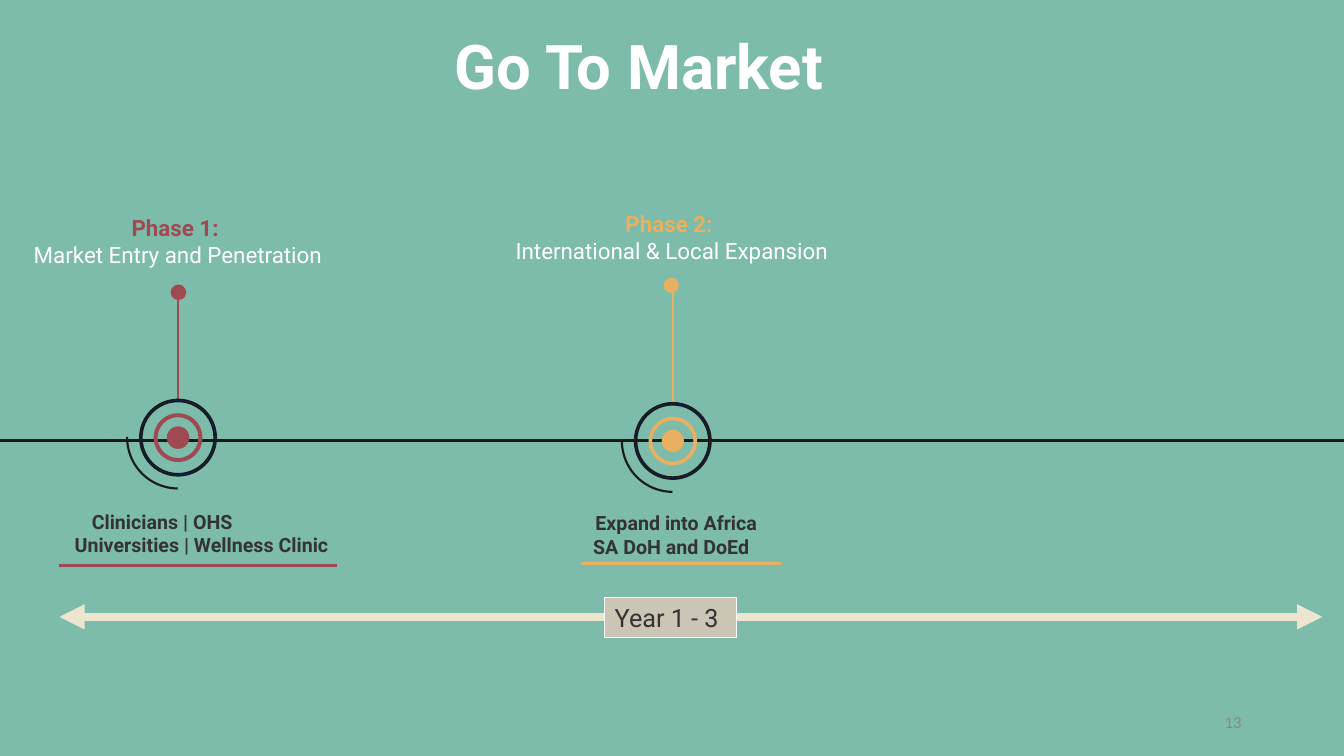
from dataclasses import dataclass

from lxml.etree import SubElement
from pptx import Presentation
from pptx.dml.color import RGBColor
from pptx.enum.shapes import MSO_CONNECTOR, MSO_SHAPE
from pptx.enum.text import MSO_ANCHOR, MSO_AUTO_SIZE, PP_ALIGN
from pptx.oxml.ns import qn
from pptx.util import Pt


@dataclass(frozen=True)
class Theme:
    font: str = "Roboto"
    background: RGBColor = RGBColor(0x7D, 0xBB, 0xAA)
    white: RGBColor = RGBColor(0xFF, 0xFF, 0xFF)
    ink: RGBColor = RGBColor(0x33, 0x33, 0x33)
    axis: RGBColor = RGBColor(0x19, 0x19, 0x19)
    ring: RGBColor = RGBColor(0x05, 0x29, 0x5C)
    red: RGBColor = RGBColor(0x9F, 0x4A, 0x53)
    amber: RGBColor = RGBColor(0xE9, 0xB0, 0x61)
    cream: RGBColor = RGBColor(0xEC, 0xE5, 0xD0)
    stone: RGBColor = RGBColor(0xCB, 0xC5, 0xB5)
    grey: RGBColor = RGBColor(0x89, 0x89, 0x89)
    title_size: Pt = Pt(44)
    year_size: Pt = Pt(18)
    phase_size: Pt = Pt(16)
    note_size: Pt = Pt(14)
    number_size: Pt = Pt(12)


theme = Theme()
COLUMNS, ROWS = 160, 90

presentation = Presentation()
presentation.slide_width, presentation.slide_height = Pt(960), Pt(540)
CELL = presentation.slide_width / COLUMNS  # the grid is square: 160 by 90 cells
slide = presentation.slides.add_slide(presentation.slide_layouts[5])
slide.background.fill.solid()
slide.background.fill.fore_color.rgb = theme.background


def add_line(start, end, color, width):
    """Draw a straight line between two (column, row) points."""
    points = [round(value * CELL) for value in (*start, *end)]
    line = slide.shapes.add_connector(MSO_CONNECTOR.STRAIGHT, *points)
    line.line.color.rgb = color
    line.line.width = Pt(width)
    SubElement(line.element.spPr, qn("a:effectLst"))
    return line


def write(shape, box, rows, align=PP_ALIGN.CENTER, anchor=MSO_ANCHOR.TOP):
    """Place a shape on the grid and fill it with (text, font values) rows."""
    for side, value in zip(("left", "top", "width", "height"), box):
        setattr(shape, side, round(value * CELL))
    frame = shape.text_frame
    frame.word_wrap = True
    frame.auto_size = MSO_AUTO_SIZE.NONE
    frame.vertical_anchor = anchor
    for index, (text, values) in enumerate(rows):
        paragraph = frame.add_paragraph() if index else frame.paragraphs[0]
        paragraph.alignment = align
        run = paragraph.add_run()
        run.text = text
        for name, value in values.items():
            if name == "color":
                run.font.color.rgb = value
            else:
                setattr(run.font, name, value)


# Time span
span = add_line((7.08, 73.44), (157.44, 73.44), theme.cream, 6)
outline = span.line._get_or_add_ln()
for end in ("a:headEnd", "a:tailEnd"):
    SubElement(outline, qn(end), type="triangle")

# Timeline axis, in equal segments after the first
AXIS_ROW, AXIS_START, SEGMENT = 52.44, 21.72, 29.55
add_line((0, AXIS_ROW), (20.16, AXIS_ROW), theme.axis, 2.25)
for index in range(5):
    start = AXIS_START + index * SEGMENT
    add_line((start, AXIS_ROW), (min(start + SEGMENT, COLUMNS), AXIS_ROW), theme.axis, 2.25)

# Phases
phases = [
    {
        "color": theme.red, "border": 1, "center": (21.2, 52.1), "pin": (21.24, 34.8),
        "heading": ("Phase 1: ", "Market Entry and Penetration"),
        "heading_box": (2.52, 24.96, 37.32, 8.52),
        "notes": [
            ("Clinicians | OHS", (5.52, 60.12, 27.6, 3.48)),
            ("Universities | Wellness Clinic", (5.88, 62.88, 36.24, 3.96)),
        ],
        "underline": (7.08, 40.08, 67.32),
    },
    {
        "color": theme.amber, "border": 0.75, "center": (80.1, 52.5), "pin": (79.92, 33.96),
        "heading": ("Phase 2: ", "International & Local Expansion"),
        "heading_box": (59.28, 24.48, 41.4, 7.44),
        "notes": [
            ("Expand into Africa", (68.16, 60.24, 24.72, 4.08)),
            ("SA DoH and DoEd", (65.16, 63.12, 29.52, 3.72)),
        ],
        "underline": (69.12, 93, 67.08),
    },
]
note_font = {"name": theme.font, "size": theme.note_size, "bold": True, "color": theme.ink}

for phase in phases:
    color, border = phase["color"], phase["border"]
    column, row = center = phase["center"]
    add_line((column, row - 4.38), (column, row - 17.94), color, 1.5)

    marks = [
        (MSO_SHAPE.ARC, center, 12.12, (54.204, 108.533), None, theme.axis, 1.5),
        (MSO_SHAPE.OVAL, center, 2.52, (), color, color, border),
        (MSO_SHAPE.DONUT, center, 5.64, (0.053,), color, color, border),
        (MSO_SHAPE.DONUT, center, 9.12, (0.029,), theme.ring, theme.axis, 1),
        (MSO_SHAPE.OVAL, phase["pin"], 1.68, (), color, color, border),
    ]
    for kind, (middle, level), size, adjustments, fill, line_color, width in marks:
        box = (middle - size / 2, level - size / 2, size, size)
        mark = slide.shapes.add_shape(kind, *(round(value * CELL) for value in box))
        mark.shadow.inherit = False
        for index, value in enumerate(adjustments):
            mark.adjustments[index] = value
        if fill is None:
            mark.fill.background()
        else:
            mark.fill.solid()
            mark.fill.fore_color.rgb = fill
        mark.line.color.rgb = line_color
        mark.line.width = Pt(width)

    heading_font = {"name": theme.font, "size": theme.phase_size}
    label, description = phase["heading"]
    write(slide.shapes.add_textbox(0, 0, 0, 0), phase["heading_box"], [
        (label, {**heading_font, "bold": True, "color": color}),
        (description, {**heading_font, "bold": False, "color": theme.white}),
    ])
    for text, box in phase["notes"]:
        write(slide.shapes.add_textbox(0, 0, 0, 0), box, [(text, note_font)])
    left, right, level = phase["underline"]
    add_line((left, level), (right, level), color, 2.25)

# Title, year label and slide number
title = slide.shapes.title
write(title, (7.08, 4.2, 138, 8.16), [
    ("Go To Market", {"name": theme.font, "size": theme.title_size, "bold": True, "color": theme.white}),
], anchor=MSO_ANCHOR.MIDDLE)
title.text_frame.paragraphs[0].line_spacing = 0.9

year = slide.shapes.add_shape(MSO_SHAPE.RECTANGLE, 0, 0, 0, 0)
year.shadow.inherit = False
year.fill.solid()
year.fill.fore_color.rgb = theme.stone
year.line.color.rgb = theme.white
year.line.width = Pt(0.75)
write(year, (72, 71.16, 15.72, 4.8), [
    ("Year 1 - 3", {"name": theme.font, "size": theme.year_size, "color": theme.ink}),
], PP_ALIGN.LEFT, MSO_ANCHOR.MIDDLE)

write(slide.shapes.add_textbox(0, 0, 0, 0), (113, 83.5, 36, 4.8), [
    ("13", {"size": theme.number_size, "color": theme.grey}),
], PP_ALIGN.RIGHT, MSO_ANCHOR.MIDDLE)

presentation.save("out.pptx")
